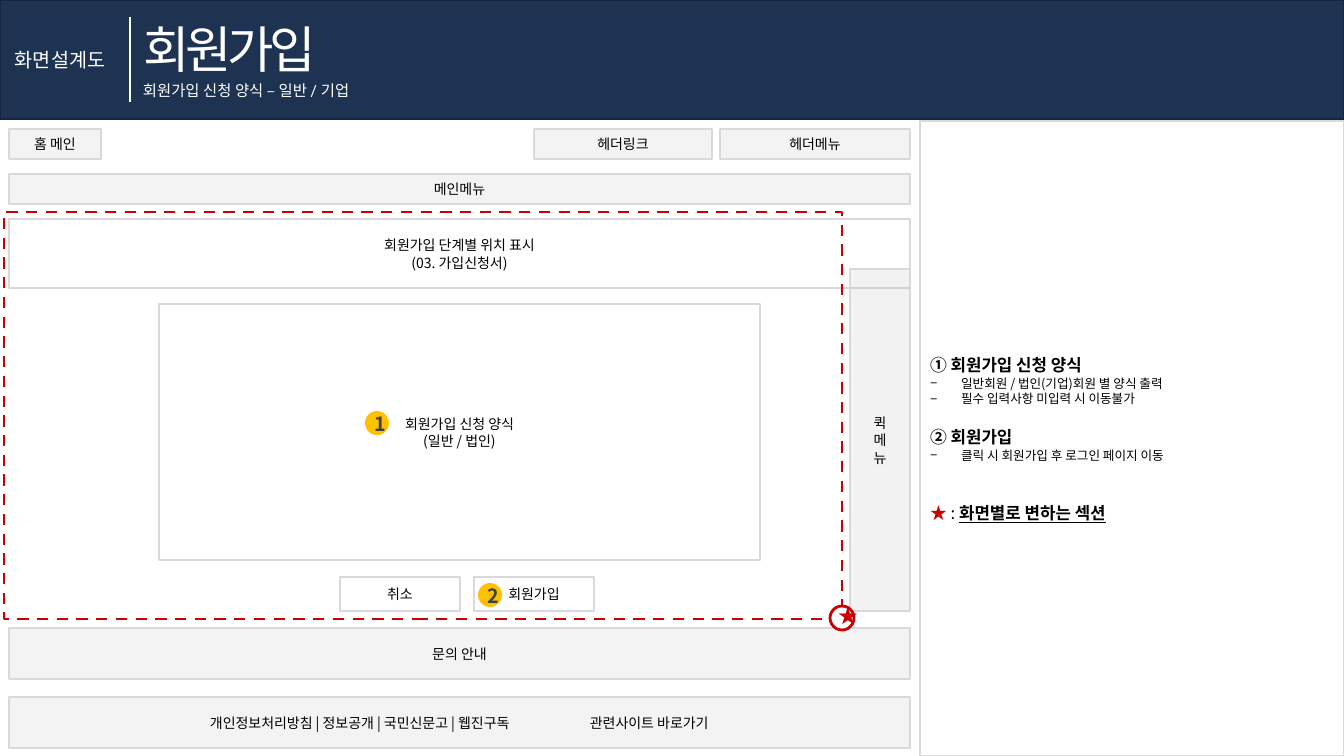
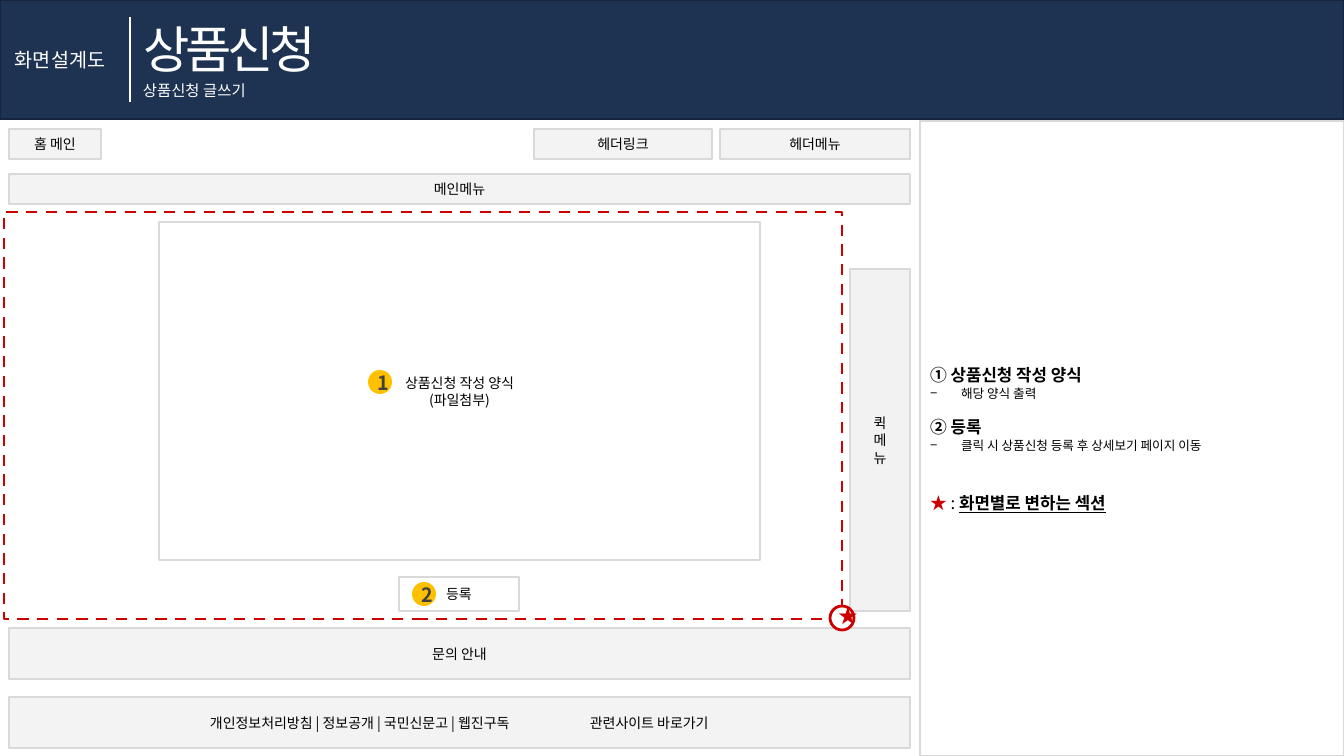
from lxml import etree
from pptx import Presentation
from pptx.dml.color import RGBColor
from pptx.enum.dml import MSO_LINE
from pptx.enum.shapes import MSO_CONNECTOR, MSO_SHAPE as SHAPE
from pptx.enum.text import MSO_ANCHOR as ANCHOR, MSO_AUTO_SIZE, PP_ALIGN as ALIGN
from pptx.oxml.ns import qn
from pptx.util import Emu, Pt

NAVY = RGBColor(0x1E, 0x32, 0x52)
NAVY_EDGE = RGBColor(0x16, 0x25, 0x3D)
WHITE = RGBColor(0xFF, 0xFF, 0xFF)
BLACK = RGBColor(0x00, 0x00, 0x00)
GRAY = RGBColor(0xD9, 0xD9, 0xD9)
MID_GRAY = RGBColor(0xBF, 0xBF, 0xBF)
DARK_GRAY = RGBColor(0x40, 0x40, 0x40)
RED = RGBColor(0xCC, 0x00, 0x00)
AMBER = RGBColor(0xFF, 0xC0, 0x00)

FONT = "Noto Sans CJK KR"
SUBTITLE_FONT = "Roboto"
LINE_RATIO = 1.25
SLIDE_W, SLIDE_H = 1344, 756
HEADER_H = 119
LEFT, RIGHT = 9, 910          # edges of the wireframe
ITEM_INDENT = 31
BADGE = 24


def px(length):
    return Emu(round(length * 914400 / 100.8))


def place(shape, x, y, w, h):
    shape.left, shape.top, shape.width, shape.height = map(px, (x, y, w, h))


# Text
def add_run(paragraph, text, size, color=BLACK, bold=False, underline=False,
            font=FONT, tracking=0):
    run = paragraph.add_run()
    run.text = text
    run.font.size = Pt(size)
    run.font.bold = bold
    run.font.underline = underline
    run.font.color.rgb = color
    run.font.name = font
    props = run.font._element
    etree.SubElement(props, qn("a:ea")).set("typeface", FONT)
    if tracking:
        props.set("spc", str(tracking * 100))


def format_paragraph(paragraph, size, align=ALIGN.LEFT, before=0):
    paragraph.alignment = align
    paragraph.line_spacing = Pt(size * LINE_RATIO)
    paragraph.space_before = Pt(before)


def set_bullet(paragraph, char=None):
    props = paragraph._p.get_or_add_pPr()
    indent = px(ITEM_INDENT) if char else 0
    props.set("marL", str(indent))
    props.set("indent", str(-indent))
    if char:
        etree.SubElement(props, qn("a:buChar")).set("char", char)
    else:
        etree.SubElement(props, qn("a:buNone"))


def format_frame(frame, anchor):
    frame.word_wrap = True
    frame.auto_size = MSO_AUTO_SIZE.NONE
    frame.vertical_anchor = anchor


def write_lines(frame, lines, size, align=ALIGN.LEFT, anchor=ANCHOR.TOP, **style):
    format_frame(frame, anchor)
    for i, line in enumerate(lines):
        paragraph = frame.add_paragraph() if i else frame.paragraphs[0]
        format_paragraph(paragraph, size, align)
        add_run(paragraph, line, size, **style)


def add_label(slide, x, y, w, h, text, size, **style):
    label = slide.shapes.add_textbox(px(x), px(y), px(w), px(h))
    write_lines(label.text_frame, [text], size, **style)
    return label


# Shapes
def add_box(slide, x, y, w, h, lines=(), fill=WHITE, alpha=None, line=GRAY,
            weight=1, kind=SHAPE.RECTANGLE):
    box = slide.shapes.add_shape(kind, px(x), px(y), px(w), px(h))
    box.shadow.inherit = False
    if fill is None:
        box.fill.background()
    else:
        box.fill.solid()
        box.fill.fore_color.rgb = fill
        if alpha:
            color = box._element.spPr.find(".//" + qn("a:srgbClr"))
            etree.SubElement(color, qn("a:alpha")).set("val", str(alpha * 1000))
    if line is None:
        box.line.fill.background()
    else:
        box.line.color.rgb = line
        box.line.width = Pt(weight)
    if lines:
        write_lines(box.text_frame, lines, 10, ALIGN.CENTER, ANCHOR.MIDDLE)
    return box


def add_menu(slide, x, y, w, h, lines=(), fill=GRAY, alpha=30):
    return add_box(slide, x, y, w, h, lines, fill, alpha, weight=2)


def add_badge(slide, x, y, number):
    badge = add_box(slide, x, y, BADGE, BADGE, fill=AMBER, line=None, kind=SHAPE.OVAL)
    frame = badge.text_frame
    frame.margin_right = frame.margin_top = frame.margin_bottom = 0
    frame.margin_left = px(6)
    write_lines(frame, [str(number)], 14, ALIGN.CENTER, ANCHOR.MIDDLE,
                color=DARK_GRAY, bold=True)


# Parts shared by the slides
def add_header(slide, title, subtitle):
    band = add_box(slide, 0, 0, SLIDE_W, HEADER_H, fill=NAVY, line=NAVY_EDGE)
    slide.shapes._spTree.insert(2, band._element)   # behind the title
    heading = slide.shapes.title
    place(heading, 133, 11, 600, 72)
    write_lines(heading.text_frame, [title], 36, color=WHITE, tracking=-3)
    add_label(slide, 5, 42, 119, 34, "화면설계도", 14, color=WHITE)
    add_label(slide, 133, 75, 600, 29, subtitle, 11, color=WHITE, font=SUBTITLE_FONT)
    divider = slide.shapes.add_connector(
        MSO_CONNECTOR.STRAIGHT, px(130), px(17), px(130), px(102))
    divider.line.color.rgb = WHITE
    divider.line.width = Pt(1.5)
    etree.SubElement(divider._element.spPr, qn("a:effectLst"))


def add_site_menus(slide):
    full = RIGHT - LEFT
    add_menu(slide, LEFT, 129, 92, 30, ["홈 메인"])
    add_menu(slide, 534, 129, 178, 30, ["헤더링크"])
    add_menu(slide, 720, 129, 190, 30, ["헤더메뉴"])
    add_menu(slide, LEFT, 174, full, 30, ["메인메뉴"])
    add_menu(slide, LEFT, 628, full, 51, ["문의 안내"])
    add_menu(slide, 850, 269, 60, 342, ["퀵", "메", "뉴"], MID_GRAY, 20)
    # Footer links
    add_menu(slide, LEFT, 697, full, 51)
    add_label(slide, 200, 697, 370, 51,
              "개인정보처리방침 | 정보공개 | 국민신문고 | 웹진구독", 10, anchor=ANCHOR.MIDDLE)
    add_label(slide, 580, 697, 200, 51, "관련사이트 바로가기", 10, anchor=ANCHOR.MIDDLE)


def add_changing_section(slide):
    section = add_box(slide, 4, 212, 838, 407, fill=None, line=RED, weight=2)
    section.line.dash_style = MSO_LINE.DASH
    add_box(slide, 830, 606, BADGE, BADGE, line=RED, weight=2, kind=SHAPE.OVAL)
    star = add_label(slide, 828, 598, 40, 34, "★", 14, align=ALIGN.CENTER, color=RED)
    star.text_frame.margin_left = star.text_frame.margin_right = 0


def fill_notes(slide, sections, gap):
    """Each section is a heading followed by its items; gap is in points."""
    panel = slide.placeholders[1]
    place(panel, 920, 121, 424, 635)
    panel.fill.solid()
    panel.fill.fore_color.rgb = WHITE
    panel.line.color.rgb = GRAY
    panel.line.width = Pt(1)
    frame = panel.text_frame
    format_frame(frame, ANCHOR.MIDDLE)

    for i, (heading, *items) in enumerate(sections):
        paragraph = frame.add_paragraph() if i else frame.paragraphs[0]
        set_bullet(paragraph)
        format_paragraph(paragraph, 12, before=gap if i else 0)
        add_run(paragraph, heading, 12, bold=True)
        for item in items:
            paragraph = frame.add_paragraph()
            set_bullet(paragraph, "−")
            format_paragraph(paragraph, 9)
            add_run(paragraph, item, 9)

    legend = frame.add_paragraph()
    set_bullet(legend)
    format_paragraph(legend, 12, before=28)
    add_run(legend, "★ ", 12, RED, bold=True)
    add_run(legend, ": ", 12)
    add_run(legend, "화면별로 변하는 섹션", 12, bold=True, underline=True)


def add_form(slide, top, lines):
    add_box(slide, 159, top, 601, 560 - top, lines)


def add_button(slide, x, text):
    add_box(slide, x, 577, 120, 34, [text])


def start_screen(prs, title, subtitle):
    slide = prs.slides.add_slide(prs.slide_layouts[1])
    add_header(slide, title, subtitle)
    return slide


def finish_screen(slide, badges, sections, gap):
    add_site_menus(slide)
    add_changing_section(slide)
    for number, (x, y) in enumerate(badges, 1):
        add_badge(slide, x, y, number)
    fill_notes(slide, sections, gap)


# Slides
def build_signup(prs):
    slide = start_screen(prs, "회원가입", "회원가입 신청 양식 – 일반 / 기업")
    add_box(slide, LEFT, 219, RIGHT - LEFT, 69,
            ["회원가입 단계별 위치 표시", "(03. 가입신청서)"])
    add_form(slide, 304, ["회원가입 신청 양식", "(일반 / 법인)"])
    add_button(slide, 340, "취소")
    add_button(slide, 474, "회원가입")
    finish_screen(slide, [(365, 411), (478, 583)], [
        ("① 회원가입 신청 양식",
         "일반회원 / 법인(기업)회원 별 양식 출력",
         "필수 입력사항 미입력 시 이동불가"),
        ("② 회원가입", "클릭 시 회원가입 후 로그인 페이지 이동"),
    ], gap=14)


def build_product_request(prs):
    slide = start_screen(prs, "상품신청", "상품신청 글쓰기")
    add_form(slide, 222, ["상품신청 작성 양식", "(파일첨부)"])
    add_button(slide, 399, "등록")
    finish_screen(slide, [(368, 370), (412, 582)], [
        ("① 상품신청 작성 양식", "해당 양식 출력"),
        ("② 등록", "클릭 시 상품신청 등록 후 상세보기 페이지 이동"),
    ], gap=11)


def main():
    prs = Presentation()
    prs.slide_width, prs.slide_height = px(SLIDE_W), px(SLIDE_H)
    build_signup(prs)
    build_product_request(prs)
    prs.save("out.pptx")


if __name__ == "__main__":
    main()
